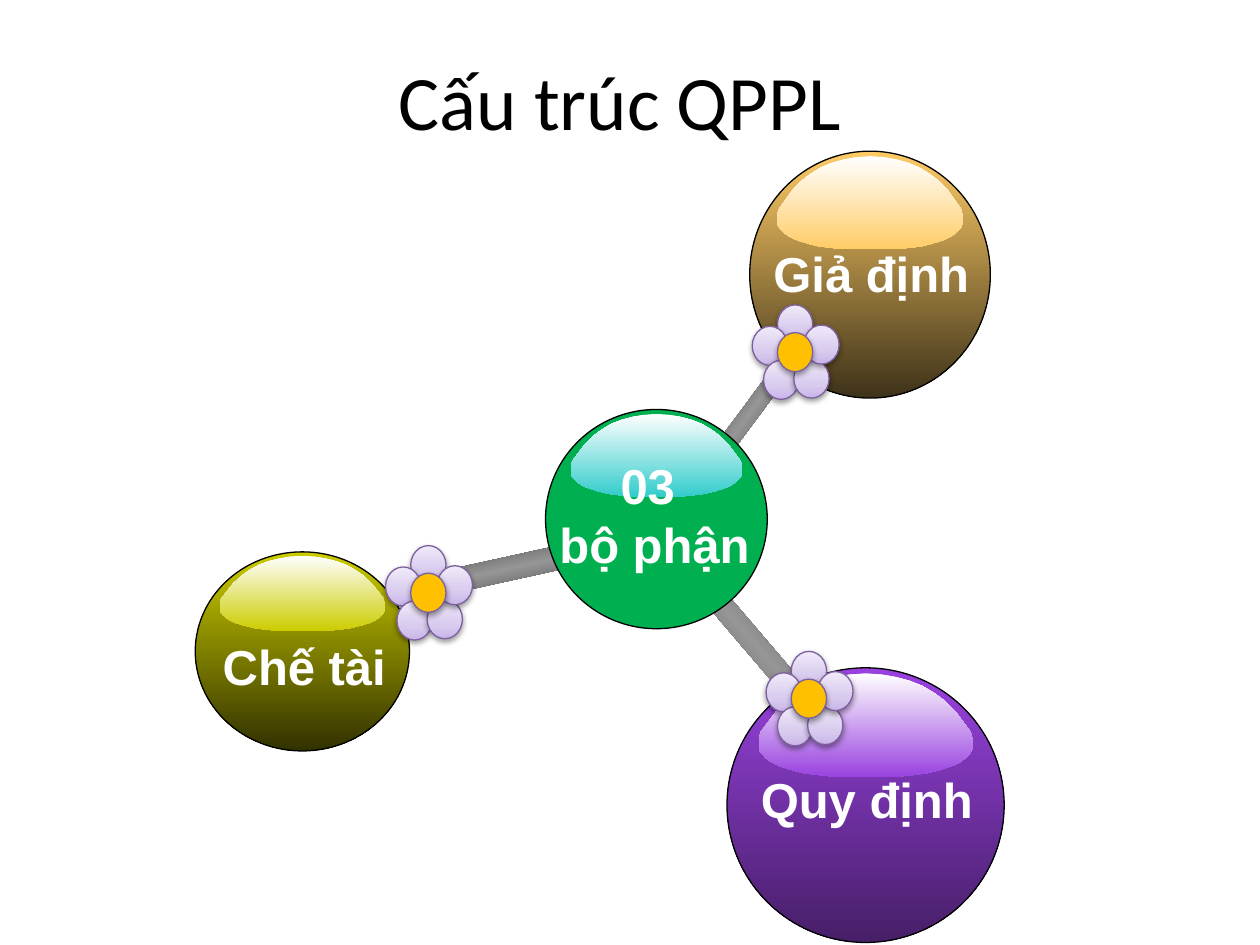
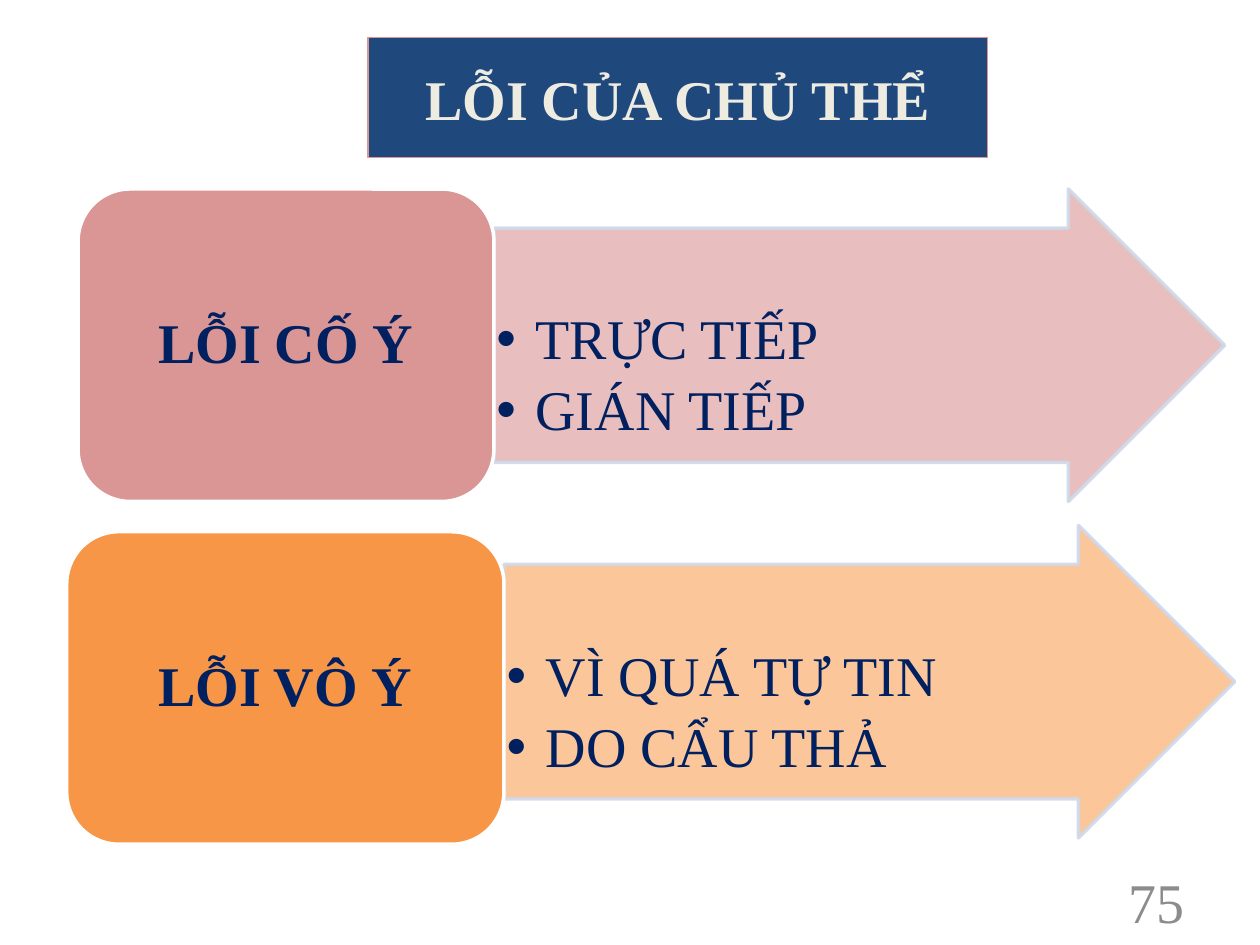
import pptx
import pptx.dml.color
import pptx.enum.shapes
import pptx.enum.text
import pptx.oxml
import pptx.oxml.ns
import pptx.util

PX = 9144  # EMU in one px, 100 px to the inch
RGB = pptx.dml.color.RGBColor
KIND = pptx.enum.shapes.MSO_SHAPE
ALIGN = pptx.enum.text.PP_ALIGN
ANCHOR = pptx.enum.text.MSO_ANCHOR
FIT = pptx.enum.text.MSO_AUTO_SIZE
QN = pptx.oxml.ns.qn
NS = pptx.oxml.ns.nsdecls("a")

WHITE, BLACK = RGB(0xFF, 0xFF, 0xFF), RGB(0, 0, 0)
NAVY, CREAM = RGB(0x00, 0x20, 0x60), RGB(0xEE, 0xEC, 0xE1)
BLUE, GRAY = RGB(0x1F, 0x49, 0x7D), RGB(0x8C, 0x8C, 0x8C)
STEEL, SHADE = RGB(0x96, 0x96, 0x96), RGB(0x45, 0x45, 0x45)
GREEN, AQUA = RGB(0x00, 0xB0, 0x50), RGB(0x33, 0xCC, 0xCC)
OLIVE, MOSS = RGB(0xCC, 0xCC, 0x00), RGB(0x32, 0x32, 0x00)
GOLD, BROWN = RGB(0xFF, 0xCC, 0x66), RGB(0x3E, 0x32, 0x19)
VIOLET, PLUM = RGB(0x99, 0x42, 0xE0), RGB(0x47, 0x1F, 0x68)
PETAL = [(0, RGB(0xC9, 0xB5, 0xE8)), (35, RGB(0xD8, 0xCB, 0xEE)),
         (100, RGB(0xF0, 0xEA, 0xF9))]
RIM, AMBER = RGB(0x7D, 0x60, 0xA0), RGB(0xFF, 0xC0, 0x00)
ROSE, PINK = RGB(0xD9, 0x96, 0x94), RGB(0xE6, 0xB9, 0xB8)
ORANGE, PEACH = RGB(0xF7, 0x96, 0x46), RGB(0xFA, 0xC0, 0x90)
MIST = RGB(0xD0, 0xD8, 0xE8)
SERIF = "Times New Roman"

# Right half of the gloss outline on a 170 x 82 grid, from the top down
HALF = [(85, 0), (98, 1), (109, 3), (120, 6), (130, 10), (140, 16), (148, 22),
        (156, 30), (162, 38), (168, 46), (170, 51), (170, 56), (170, 60),
        (167, 64), (164, 67), (160, 70), (154, 73), (148, 75), (141, 77),
        (133, 79), (125, 80), (116, 81), (106, 82)]
GLOSS = HALF + [(170 - x, y) for x, y in reversed(HALF[1:])]
PETALS = [(20, 0), (0, 17), (9, 44), (33, 43), (41, 16)]


def emu(box):
    return [round(v * PX) for v in box]


def move(shape, box):
    shape.left, shape.top, shape.width, shape.height = emu(box)


def write(shape, text, font=SERIF, size=32, color=NAVY, bold=False,
          align=ALIGN.CENTER, anchor=ANCHOR.MIDDLE, fit=FIT.NONE, wrap=True,
          inset=None, gap=0, lead=None, bullet=False):
    """Fill a shape with one paragraph per line of text."""
    frame = shape.text_frame
    frame.text = text
    frame.auto_size, frame.word_wrap = fit, wrap
    frame.vertical_anchor = anchor
    if inset is not None:
        frame.margin_left = frame.margin_right = inset * PX
        frame.margin_top = frame.margin_bottom = inset * PX
    for para in frame.paragraphs:
        para.alignment = align
        para.space_before, para.space_after = 0, pptx.util.Pt(gap)
        if lead:
            para.line_spacing = lead
        if bullet:
            props = para._p.get_or_add_pPr()
            props.set("marL", str(31 * PX))
            props.set("indent", str(-31 * PX))
            props.append(pptx.oxml.parse_xml(f'<a:buChar {NS} char="•"/>'))
        for run in para.runs:
            run.font.name, run.font.size = font, pptx.util.Pt(size)
            run.font.bold, run.font.color.rgb = bold, color


def blend(shape, stops, angle=90):
    """Give a shape a linear gradient from (percent, colour) stops."""
    shape.fill.gradient()
    old = shape.element.spPr.find(QN("a:gradFill"))
    marks = "".join(f'<a:gs pos="{at * 1000}"><a:srgbClr val="{color}"/></a:gs>'
                    for at, color in stops)
    old.getparent().replace(old, pptx.oxml.parse_xml(
        f'<a:gradFill {NS} rotWithShape="1"><a:gsLst>{marks}</a:gsLst>'
        f'<a:lin ang="{angle * 60000}" scaled="1"/></a:gradFill>'))


def paint(shape, fill, line=None, width=0.75, angle=90):
    """Set a flat or blended fill, and the outline."""
    shape.shadow.inherit = False
    if isinstance(fill, list):
        blend(shape, fill, angle)
    else:
        shape.fill.solid()
        shape.fill.fore_color.rgb = fill
    if line is None:
        shape.line.fill.background()
    else:
        shape.line.color.rgb = line
        shape.line.width = pptx.util.Pt(width)


def draw(slide, kind, box, fill, line=None, **style):
    shape = slide.shapes.add_shape(kind, *emu(box))
    paint(shape, fill, line, **style)
    return shape


def label(slide, box, text, **style):
    write(slide.shapes.add_textbox(*emu(box)), text, **style)


def ball(slide, box, fill, shine, text, spot):
    """A glossy sphere with its caption at an offset box."""
    left, top, wide, high = box
    draw(slide, KIND.OVAL, box, fill, BLACK)
    # Highlight over the upper part
    across, down = wide * 0.773 / 170, high * 0.378 / 82
    dots = [emu((left + wide * 0.114 + x * across, top + high * 0.02 + y * down))
            for x, y in GLOSS]
    path = slide.shapes.build_freeform(*dots[0], scale=1.0)
    path.add_line_segments(dots[1:], close=True)
    paint(path.convert_to_shape(), [(0, WHITE), (100, shine)])
    # Caption
    x, y, *size = spot
    label(slide, (left + x, top + y, *size), text, font="Arial", size=28,
          color=WHITE, bold=True, anchor=ANCHOR.TOP, fit=FIT.SHAPE_TO_FIT_TEXT,
          wrap=False)


def bloom(slide, left, top):
    """A five-petal flower with a round heart."""
    parts = [(spot, PETAL) for spot in PETALS] + [((20, 22), AMBER)]
    for (x, y), fill in parts:
        part = draw(slide, KIND.OVAL, (left + x, top + y, 28, 31), fill, RIM,
                    angle=270)
        part.element.spPr.find(QN("a:effectLst")).append(pptx.oxml.parse_xml(
            f'<a:outerShdw {NS} blurRad="40000" dist="20000" dir="5400000" '
            'rotWithShape="0"><a:srgbClr val="000000"><a:alpha val="38000"/>'
            '</a:srgbClr></a:outerShdw>'))


def row(slide, body, box, fill, tint, name, items, arrow):
    """A rounded name box, with a list on the arrow beside it."""
    left, top, wide, high = box
    tip = draw(slide, KIND.RIGHT_ARROW, (left + wide, arrow, 580, 248), tint,
               MIST, width=2)
    tip.adjustments[0], tip.adjustments[1] = 0.75, 0.5
    for color in tip.element.spPr.iter(QN("a:srgbClr")):
        color.append(pptx.oxml.parse_xml(f'<a:alpha {NS} val="90000"/>'))
    # List, brought in front of the arrow
    body.element.getparent().append(body.element)
    move(body, (left + wide, arrow + 95, 487, 122))
    write(body, items, align=ALIGN.LEFT, anchor=ANCHOR.TOP, inset=2, gap=6,
          lead=0.9, bullet=True)
    # Name
    card = draw(slide, KIND.ROUNDED_RECTANGLE, box, fill, WHITE, width=2)
    write(card, name, bold=True, lead=0.9)


def parts(deck):
    """Three spheres joined to a central one."""
    slide = deck.slides.add_slide(deck.slide_layouts[5])
    move(slide.shapes.title, (42, 17, 900, 125))
    write(slide.shapes.title, "Cấu trúc QPPL", font="Calibri", size=44,
          color=BLACK)
    # Rods
    for box, turn in [((532, 506, 141, 18), 229.5), ((339, 444, 110, 19), 347.6),
                      ((562, 322, 65, 14), 306.6)]:
        rod = draw(slide, KIND.RECTANGLE, box,
                   [(0, SHADE), (50, STEEL), (100, SHADE)])
        rod.rotation = turn
    # Spheres
    ball(slide, (433, 325, 176, 174), GREEN, AQUA, "03 \nbộ phận",
         (0, 32, 173, 104))
    ball(slide, (155, 438, 170, 158), [(0, OLIVE), (100, MOSS)], OLIVE,
         "Chế tài", (11, 62, 151, 57))
    ball(slide, (595, 120, 191, 196), [(0, GOLD), (100, BROWN)], GOLD,
         "Giả định", (8, 68, 177, 57))
    ball(slide, (577, 530, 220, 218), [(0, VIOLET), (100, PLUM)], VIOLET,
         "Quy định", (16, 76, 190, 57))
    # Flowers on the joints
    for spot in [(306, 433), (597, 242), (608, 517)]:
        bloom(slide, *spot)


def faults(deck):
    """Two kinds of fault, each with its list."""
    slide = deck.slides.add_slide(deck.slide_layouts[3])
    title, first, second = slide.placeholders
    move(title, (292, 30, 492, 95))
    paint(title, BLUE, ROSE)
    write(title, "LỖI CỦA CHỦ THỂ", color=CREAM, bold=True)
    row(slide, first, (62, 150, 330, 248), ROSE, PINK, "LỖI CỐ Ý",
        "TRỰC TIẾP\nGIÁN TIẾP", 150)
    row(slide, second, (53, 422, 347, 248), ORANGE, PEACH, "LỖI VÔ Ý",
        "VÌ QUÁ TỰ TIN\nDO CẨU THẢ", 417)
    # Page number
    label(slide, (717, 695, 233, 40), "75", color=GRAY, align=ALIGN.RIGHT)


def main():
    deck = pptx.Presentation()
    deck.slide_width, deck.slide_height = 1000 * PX, 750 * PX
    parts(deck)
    faults(deck)
    deck.save("out.pptx")


if __name__ == "__main__":
    main()
